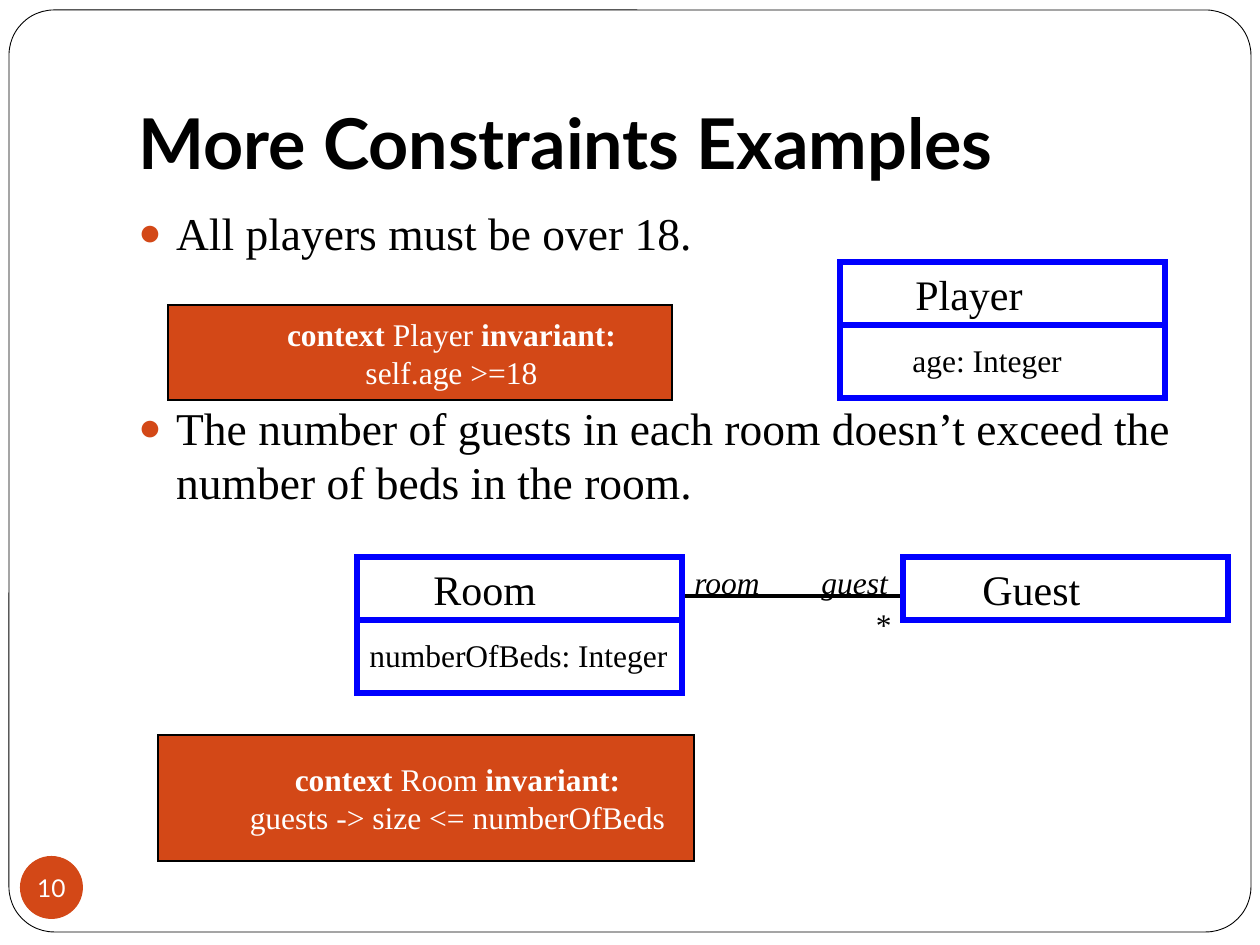
from lxml.etree import SubElement
from pptx import Presentation
from pptx.dml.color import RGBColor
from pptx.enum.shapes import MSO_CONNECTOR, MSO_SHAPE
from pptx.enum.text import MSO_ANCHOR, MSO_AUTO_SIZE, PP_ALIGN
from pptx.oxml.ns import qn
from pptx.util import Emu, Pt

SCALE = 914400 / 126
COLORS = {"white": "FFFFFF", "black": "000000", "accent": "D34817", "frame": "0000FF"}
SERIF = "Times New Roman"


def add_block(kind, box, fill=None, line=None, width=1):
    block = slide.shapes.add_shape(kind, *[Emu(round(v * SCALE)) for v in box])
    block.shadow.inherit = False
    if fill:
        block.fill.solid()
        block.fill.fore_color.rgb = RGBColor.from_string(COLORS[fill])
    else:
        block.fill.background()
    if line:
        block.line.color.rgb = RGBColor.from_string(COLORS[line])
        block.line.width = Pt(width)
        SubElement(block._element.spPr.find(qn("a:ln")), qn("a:miter"), lim="800000")
    else:
        block.line.fill.background()
    return block


def add_run(paragraph, text, color="black", **font):
    run = paragraph.add_run()
    run.text = text
    run.font.color.rgb = RGBColor.from_string(COLORS[color])
    for name, value in font.items():
        setattr(run.font, name, value)


deck = Presentation()
deck.slide_width, deck.slide_height = Emu(round(1260 * SCALE)), Emu(round(945 * SCALE))
slide = deck.slides.add_slide(deck.slide_layouts[5])

border = add_block(MSO_SHAPE.ROUNDED_RECTANGLE, (9, 10, 1242, 922), "white", "black", 0.5)
border.adjustments[0] = 0.049
slide.shapes._spTree.insert(2, border._element)

page_badge = add_block(MSO_SHAPE.OVAL, (20, 856, 63, 63), "accent")
badge_format = {"margin_left": 0, "margin_right": 0, "margin_top": 0, "margin_bottom": 0,
                "vertical_anchor": MSO_ANCHOR.MIDDLE, "word_wrap": False}
for name, value in badge_format.items():
    setattr(page_badge.text_frame, name, value)
page_number = page_badge.text_frame.paragraphs[0]
page_number.alignment = PP_ALIGN.CENTER
add_run(page_number, "10", "white", size=Pt(14), name="Lato")

title = slide.shapes.title
for name, value in {"left": 126, "top": 38, "width": 1071, "height": 158}.items():
    setattr(title, name, Emu(round(value * SCALE)))
title_format = {"vertical_anchor": MSO_ANCHOR.BOTTOM, "margin_bottom": Pt(7.2),
                "word_wrap": True, "auto_size": MSO_AUTO_SIZE.NONE}
for name, value in title_format.items():
    setattr(title.text_frame, name, value)
heading = title.text_frame.paragraphs[0]
heading.alignment = PP_ALIGN.LEFT
add_run(heading, "More Constraints Examples", size=Pt(40), name="Lato", bold=True)

rules = slide.shapes.add_textbox(*[Emu(round(v * SCALE)) for v in (126, 199, 1071, 630)]).text_frame
rules.word_wrap = True
rule_texts = [
    ("All players must be over 18.", 5.8),
    ("The number of guests in each room doesn’t exceed the number of beds in the room.", 80),
]
for index, (text, gap) in enumerate(rule_texts):
    rule = rules.add_paragraph() if index else rules.paragraphs[0]
    rule.space_before = Pt(gap)
    props = rule._p.get_or_add_pPr()
    props.set("marL", str(Pt(21.6)))
    props.set("indent", str(-Pt(21.6)))
    bullet_color = SubElement(props, qn("a:buClr"))
    SubElement(bullet_color, qn("a:srgbClr"), val=COLORS["accent"])
    SubElement(props, qn("a:buSzPct"), val="85000")
    SubElement(props, qn("a:buFont"), typeface=SERIF)
    SubElement(props, qn("a:buChar"), char="●")
    add_run(rule, text, size=Pt(26), name=SERIF)

constraints = [
    ((168, 305, 504, 95), "Player", "self.age >=18"),
    ((158, 735, 536, 126), "Room", "guests -> size <= numberOfBeds"),
]
for box, context, condition in constraints:
    frame = add_block(MSO_SHAPE.RECTANGLE, box, "accent", "black", 0.75).text_frame
    frame.word_wrap = False
    frame.vertical_anchor = MSO_ANCHOR.MIDDLE
    lines = [[("context", True), (f" {context} ", False), ("invariant:", True)],
             [(condition, False)]]
    for index, parts in enumerate(lines):
        line = frame.add_paragraph() if index else frame.paragraphs[0]
        line.alignment = PP_ALIGN.CENTER
        line.level = 1
        line._p.get_or_add_pPr().set("marL", str(Pt(36)))
        line._p.get_or_add_pPr().set("indent", "0")
        for text, bold in parts:
            add_run(line, text, "white", size=Pt(18), name=SERIF, bold=bold)

association = slide.shapes.add_connector(
    MSO_CONNECTOR.STRAIGHT, *[Emu(round(v * SCALE)) for v in (685, 596, 901, 596)])
association.line.color.rgb = RGBColor.from_string(COLORS["black"])
association.line.width = Pt(2.25)
SubElement(association._element.spPr, qn("a:effectLst"))

for left, top, has_attributes in [(357, 557, True), (903, 557, False), (840, 262, True)]:
    add_block(MSO_SHAPE.RECTANGLE, (left, top, 325, 63), None, "frame", 3)
    if has_attributes:
        add_block(MSO_SHAPE.RECTANGLE, (left, top + 63, 325, 73), None, "frame", 3)

labels = [
    ("Room", (421, 557, 129, 63), 24, False),
    ("Guest", (970, 557, 123, 63), 24, False),
    ("Player", (903, 262, 138, 63), 24, False),
    ("numberOfBeds: Integer", (357, 630, 324, 50), 18, False),
    ("age: Integer", (900, 335, 175, 50), 18, False),
    ("room", (682, 557, 92, 50), 18, True),
    ("guest", (809, 557, 92, 50), 18, True),
    ("*", (862, 599, 42, 50), 18, True),
]
for text, box, size, italic in labels:
    label = slide.shapes.add_textbox(*[Emu(round(v * SCALE)) for v in box]).text_frame
    label.word_wrap = False
    label.auto_size = MSO_AUTO_SIZE.SHAPE_TO_FIT_TEXT
    add_run(label.paragraphs[0], text, size=Pt(size), name=SERIF, italic=italic)

deck.save("out.pptx")
